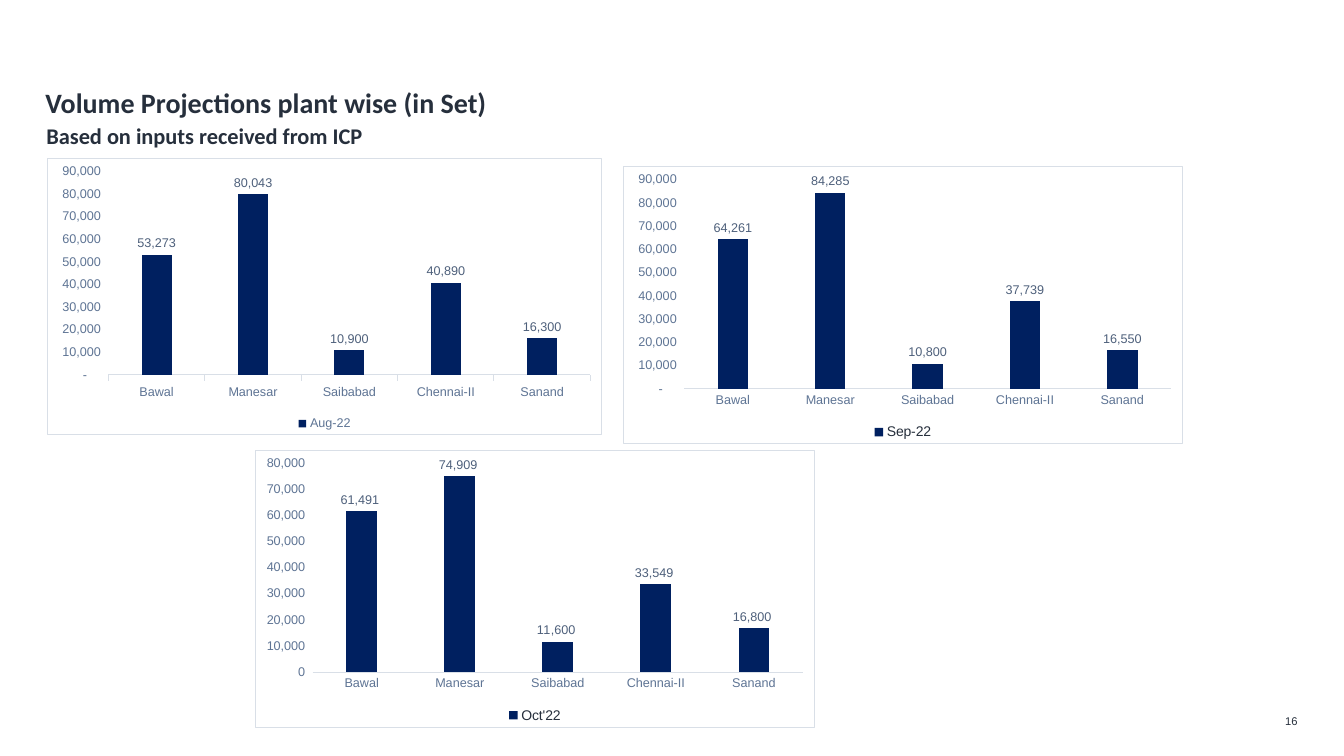
from lxml import etree
from pptx import Presentation
from pptx.chart.data import CategoryChartData
from pptx.dml.color import RGBColor
from pptx.enum.chart import XL_CHART_TYPE, XL_LABEL_POSITION, XL_LEGEND_POSITION, XL_TICK_MARK
from pptx.enum.text import MSO_ANCHOR, MSO_AUTO_SIZE, PP_ALIGN
from pptx.oxml import parse_xml
from pptx.util import Inches, Pt

COLORS = {
    "text": "262F3C",
    "axis": "5E7494",
    "label": "4E607B",
    "bar": "002060",
    "line": "D9DFE7",
    "white": "FFFFFF",
}
PLANTS = ["Bawal", "Manesar", "Saibabad", "Chennai-II", "Sanand"]
DASH_ZERO = '_-* #,##0_-;\\-* #,##0_-;_-* "-"??_-;_-@_'
PLAIN = "#,##0_ ;\\-#,##0\\ "
MONTHS = [
    {"name": "Aug-22", "values": [53273, 80043, 10900, 40890, 16300],
     "box": (0.47, 1.57, 5.5, 2.75), "top": 90000, "format": DASH_ZERO,
     "tick": XL_TICK_MARK.OUTSIDE, "overlap": 0, "legend": (9, "axis")},
    {"name": "Sep-22", "values": [64261, 84285, 10800, 37739, 16550],
     "box": (6.18, 1.65, 5.55, 2.76), "top": 90000, "format": DASH_ZERO,
     "tick": XL_TICK_MARK.NONE, "overlap": -27, "legend": (10, "text")},
    {"name": "Oct'22", "values": [61491, 74909, 11600, 33549, 16800],
     "box": (2.53, 4.46, 5.55, 2.76), "top": 80000, "format": PLAIN,
     "tick": XL_TICK_MARK.NONE, "overlap": -27, "legend": (10, "text")},
]
CHART_FRAME = """
<c:spPr xmlns:c="http://schemas.openxmlformats.org/drawingml/2006/chart"
        xmlns:a="http://schemas.openxmlformats.org/drawingml/2006/main">
  <a:solidFill><a:srgbClr val="{white}"/></a:solidFill>
  <a:ln w="9525"><a:solidFill><a:srgbClr val="{line}"/></a:solidFill></a:ln>
</c:spPr>"""


def color(name):
    return RGBColor.from_string(COLORS[name])


def set_font(font, size, color_name, name="Arial", bold=False):
    font.name = name
    font.size = Pt(size)
    font.bold = bold
    font.color.rgb = color(color_name)


def write_text(sp, box, text, size, name="Arial", bold=False, align=PP_ALIGN.LEFT, wrap=True):
    sp.left, sp.top, sp.width, sp.height = map(Inches, box)
    tf = sp.text_frame
    tf.margin_left = tf.margin_top = tf.margin_right = tf.margin_bottom = 0
    tf.word_wrap = wrap
    tf.auto_size = MSO_AUTO_SIZE.NONE
    tf.vertical_anchor = MSO_ANCHOR.TOP
    p = tf.paragraphs[0]
    p.alignment = align
    r = p.add_run()
    r.text = text
    set_font(r.font, size, "text", name, bold)


def add_text(s, box, text, size, **style):
    write_text(s.shapes.add_textbox(*map(Inches, box)), box, text, size, **style)


def frame_chart(chart):
    spaces = chart.element
    plot_part = spaces.find(etree.QName(spaces.nsmap["c"], "chart").text)
    plot_part.addnext(parse_xml(CHART_FRAME.format(**COLORS)))


def format_axes(chart, month):
    plants = chart.category_axis
    plants.major_tick_mark = month["tick"]
    plants.format.line.color.rgb = color("line")
    plants.format.line.width = Pt(0.75)
    volumes = chart.value_axis
    volumes.minimum_scale, volumes.maximum_scale = 0, month["top"]
    volumes.major_unit = 10000
    volumes.has_major_gridlines = False
    volumes.major_tick_mark = XL_TICK_MARK.NONE
    volumes.format.line.fill.background()
    volumes.tick_labels.number_format = month["format"]
    volumes.tick_labels.number_format_is_linked = False
    for axis in (plants, volumes):
        axis.minor_tick_mark = XL_TICK_MARK.NONE
        set_font(axis.tick_labels.font, 9, "axis")


def format_bars(plot, month):
    plot.gap_width = 219
    plot.overlap = month["overlap"]
    plot.vary_by_categories = False
    bars = plot.series[0]
    bars.format.fill.solid()
    bars.format.fill.fore_color.rgb = color("bar")
    labels = bars.data_labels
    labels.show_value = True
    labels.position = XL_LABEL_POSITION.OUTSIDE_END
    labels.number_format = month["format"]
    labels.number_format_is_linked = False
    set_font(labels.font, 9, "label")


def add_volume_chart(s, month):
    data = CategoryChartData(number_format=month["format"])
    data.categories = PLANTS
    data.add_series(month["name"], month["values"])
    chart = s.shapes.add_chart(
        XL_CHART_TYPE.COLUMN_CLUSTERED, *map(Inches, month["box"]), data).chart
    set_font(chart.font, 10, "text")
    chart.has_title = False
    chart.has_legend = True
    chart.legend.position = XL_LEGEND_POSITION.BOTTOM
    chart.legend.include_in_layout = False
    set_font(chart.legend.font, *month["legend"])
    format_axes(chart, month)
    format_bars(chart.plots[0], month)
    frame_chart(chart)


def main():
    prs = Presentation()
    prs.slide_width, prs.slide_height = Inches(13.33), Inches(7.5)
    s = prs.slides.add_slide(prs.slide_layouts[5])
    write_text(s.shapes.title, (0.45, 0.85, 12.4, 0.28),
               "Volume Projections plant wise (in Set)", 20, name="Calibri", bold=True)
    add_text(s, (0.46, 1.21, 12.4, 0.28),
             "Based on inputs received from ICP", 16, name="Calibri", bold=True)
    add_text(s, (12.73, 7.09, 0.14, 0.13), "16", 8, align=PP_ALIGN.RIGHT, wrap=False)
    for month in MONTHS:
        add_volume_chart(s, month)
    prs.save("out.pptx")


if __name__ == "__main__":
    main()
